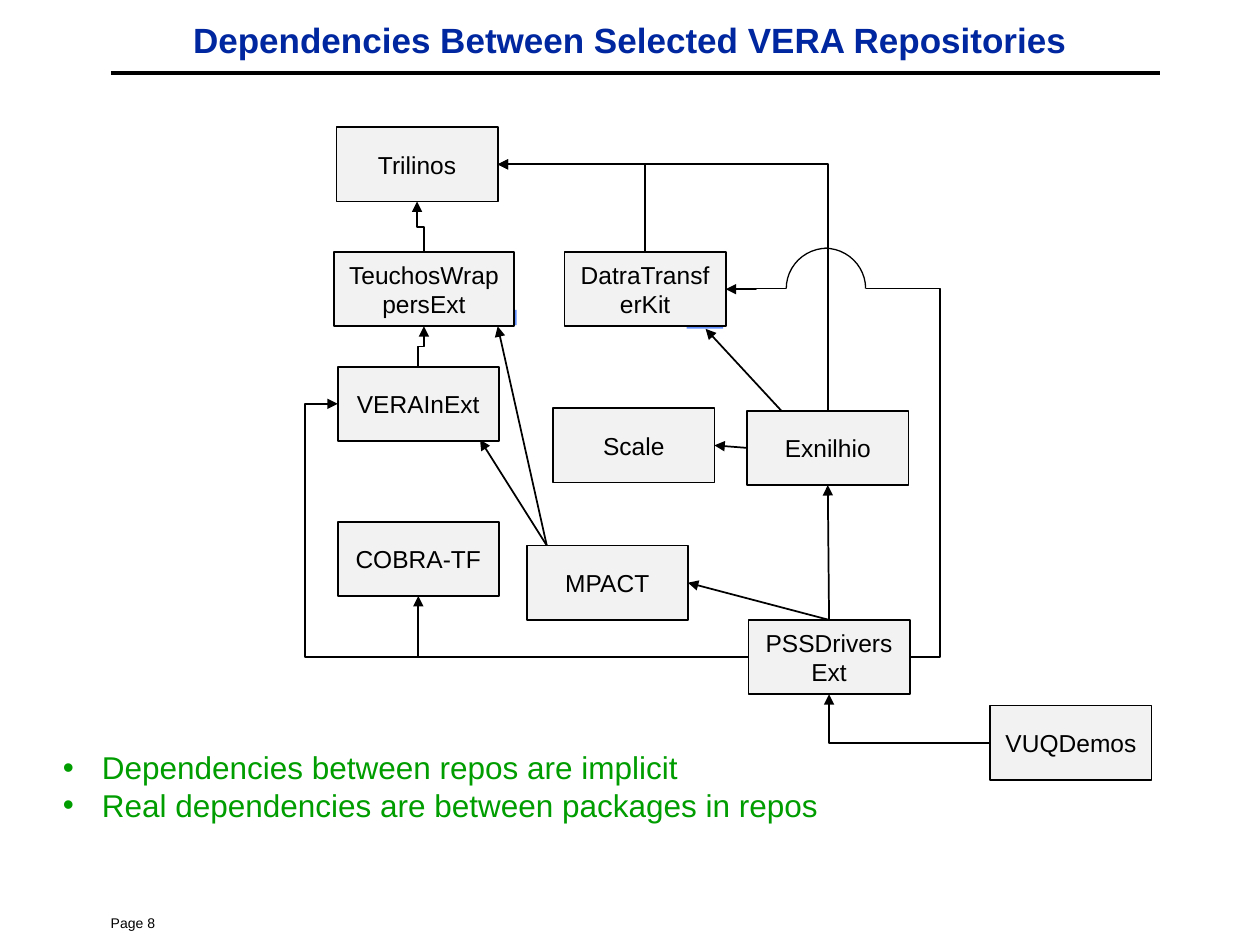
"""Build the slide on VERA repository dependencies, laid out on a grid of 100 columns by 75 rows."""
import pptx
import pptx.dml.color
import pptx.enum.shapes
import pptx.enum.text
import pptx.oxml.ns
import pptx.util
from lxml import etree

BLACK = pptx.dml.color.RGBColor(0x00, 0x00, 0x00)
NAVY = pptx.dml.color.RGBColor(0x00, 0x27, 0x9F)
GREEN = pptx.dml.color.RGBColor(0x00, 0x9D, 0x00)
PALE = pptx.dml.color.RGBColor(0xF2, 0xF2, 0xF2)
BLUE = pptx.dml.color.RGBColor(0x61, 0x8F, 0xFD)

COLUMNS, ROWS = 100, 75
FONT = "Arial"
SHAPE = pptx.enum.shapes.MSO_SHAPE
CONNECTOR = pptx.enum.shapes.MSO_CONNECTOR
ALIGN = pptx.enum.text.PP_ALIGN
ANCHOR = pptx.enum.text.MSO_ANCHOR
BOX_WIDTH, BOX_HEIGHT = 12.8, 5.9

REPOSITORIES = {
    "Scale": (43.9, 32.4, BOX_WIDTH),
    "Trilinos": (26.7, 10.1, BOX_WIDTH),
    "TeuchosWrappersExt": (26.5, 20, 14.3),
    "DatraTransferKit": (44.8, 20, BOX_WIDTH),
    "VERAInExt": (26.8, 29.1, BOX_WIDTH),
    "COBRA-TF": (26.8, 41.4, BOX_WIDTH),
    "MPACT": (41.8, 43.3, BOX_WIDTH),
    "Exnilhio": (59.3, 32.6, BOX_WIDTH),
    "PSSDriversExt": (59.4, 49.2, BOX_WIDTH),
    "VUQDemos": (78.6, 56, BOX_WIDTH),
}


def grid(*units):
    """Turn grid units, a tenth of an inch each, into lengths."""
    return [pptx.util.Inches(unit / 10) for unit in units]


def side(name, edge):
    """Return the middle of one edge of a repository box."""
    left, top, width = REPOSITORIES[name]
    across, down = {"top": (0.5, 0), "bottom": (0.5, 1), "left": (0, 0.5), "right": (1, 0.5)}[edge]
    return left + across * width, top + down * BOX_HEIGHT


def write(paragraph, text, size, color, align=ALIGN.LEFT, bold=False):
    """Add one formatted run to a paragraph."""
    paragraph.alignment = align
    run = paragraph.add_run()
    run.text = text
    run.font.name = FONT
    run.font.size = pptx.util.Pt(size)
    run.font.bold = bold
    run.font.color.rgb = color


def text_area(slide, place, anchor=ANCHOR.TOP):
    """Add a wrapping text box and return its text frame."""
    frame = slide.shapes.add_textbox(*grid(*place)).text_frame
    frame.word_wrap = True
    frame.vertical_anchor = anchor
    return frame


def bullets(slide, place, items):
    """Add a bulleted list."""
    frame = text_area(slide, place)
    for index, item in enumerate(items):
        paragraph = frame.add_paragraph() if index else frame.paragraphs[0]
        properties = paragraph._p.get_or_add_pPr()
        properties.set("marL", str(pptx.util.Inches(0.5)))
        properties.set("indent", str(pptx.util.Inches(-0.31)))
        color = etree.SubElement(properties, pptx.oxml.ns.qn("a:buClr"))
        etree.SubElement(color, pptx.oxml.ns.qn("a:srgbClr"), val=str(GREEN))
        etree.SubElement(properties, pptx.oxml.ns.qn("a:buFont"), typeface=FONT)
        etree.SubElement(properties, pptx.oxml.ns.qn("a:buChar"), char="•")
        write(paragraph, item, 18, GREEN)


def repository(slide, name):
    """Add the labelled box of one repository."""
    left, top, width = REPOSITORIES[name]
    box = slide.shapes.add_shape(SHAPE.RECTANGLE, *grid(left, top, width, BOX_HEIGHT))
    box.shadow.inherit = False
    box.fill.solid()
    box.fill.fore_color.rgb = PALE
    box.line.color.rgb = BLACK
    box.line.width = pptx.util.Pt(1)
    box.text_frame.word_wrap = True
    box.text_frame.vertical_anchor = ANCHOR.MIDDLE
    write(box.text_frame.paragraphs[0], name, 14, BLACK, ALIGN.CENTER)


def package(slide, place):
    """Add a small blue package marker."""
    marker = slide.shapes.add_shape(SHAPE.RECTANGLE, *grid(*place))
    marker.shadow.inherit = False
    marker.fill.solid()
    marker.fill.fore_color.rgb = BLUE
    marker.line.fill.background()


def bridge_arc(slide, place, start, end):
    """Add an arc running clockwise between two angles in degrees."""
    arc = slide.shapes.add_shape(SHAPE.ARC, *grid(*place))
    arc.shadow.inherit = False
    arc.fill.background()
    arc.line.color.rgb = BLACK
    arc.line.width = pptx.util.Pt(0.75)
    arc.adjustments[0] = start * 0.6
    arc.adjustments[1] = end * 0.6


def connect(slide, kind, start, end, arrow=True, weight=1):
    """Add a black connector, with an arrowhead at its end if wanted."""
    connector = slide.shapes.add_connector(kind, *grid(*start, *end))
    connector.line.color.rgb = BLACK
    connector.line.width = pptx.util.Pt(weight)
    if arrow:
        line = connector.line._get_or_add_ln()
        etree.SubElement(line, pptx.oxml.ns.qn("a:tailEnd"), type="triangle")
    etree.SubElement(connector._element.spPr, pptx.oxml.ns.qn("a:effectLst"))
    return connector


def elbow(slide, start, end, upward=False, bend=None, arrow=True):
    """Add a right-angled connector that leaves leftward or upward; bend is the share where it turns."""
    across, down = end[0] - start[0], end[1] - start[1]
    width, height = (abs(down), abs(across)) if upward else (abs(across), abs(down))
    left = (start[0] + end[0] - width) / 2
    top = (start[1] + end[1] - height) / 2
    connector = connect(slide, CONNECTOR.ELBOW, (left, top), (left + width, top + height), arrow)
    properties = connector._element.spPr
    frame = properties.find(pptx.oxml.ns.qn("a:xfrm"))
    frame.set("rot", str((270 if upward else 180) * 60000))
    if (across < 0) if upward else (down > 0):
        frame.set("flipV", "1")
    geometry = properties.find(pptx.oxml.ns.qn("a:prstGeom"))
    geometry.set("prst", "bentConnector2" if bend is None else "bentConnector3")
    if bend is not None:
        guides = geometry.get_or_add_avLst()
        etree.SubElement(guides, pptx.oxml.ns.qn("a:gd"), name="adj1", fmla=f"val {round(bend * 100000)}")


def dependencies(slide):
    """Draw every dependency between the repositories."""
    trilinos = side("Trilinos", "right")
    drivers_left, drivers_top = side("PSSDriversExt", "left"), side("PSSDriversExt", "top")
    mpact_corner = (43.4, 43.3)
    bridge_left, bridge_right = (62.4, 22.9), (68.7, 22.9)

    elbow(slide, side("TeuchosWrappersExt", "top"), side("Trilinos", "bottom"), True, 0.5)
    elbow(slide, side("VERAInExt", "top"), side("TeuchosWrappersExt", "bottom"), True, 0.5)
    for name in ("DatraTransferKit", "Exnilhio"):
        elbow(slide, side(name, "top"), trilinos, True)
    elbow(slide, bridge_left, side("DatraTransferKit", "right"), bend=0.5)
    elbow(slide, side("PSSDriversExt", "right"), bridge_right, bend=-0.69, arrow=False)
    elbow(slide, drivers_left, side("COBRA-TF", "bottom"))
    elbow(slide, drivers_left, side("VERAInExt", "left"), bend=1.08)
    elbow(slide, side("VUQDemos", "left"), side("PSSDriversExt", "bottom"))

    for start, end in (
        (mpact_corner, (39.5, 25.9)),
        (mpact_corner, (38.1, 34.9)),
        ((62.2, 32.8), (56, 26.1)),
        (side("Exnilhio", "left"), side("Scale", "right")),
        (drivers_top, side("Exnilhio", "bottom")),
        (drivers_top, side("MPACT", "right")),
    ):
        connect(slide, CONNECTOR.STRAIGHT, start, end)
    bridge_arc(slide, (62.4, 19.7, 6.5, 6.4), 180, 270)
    bridge_arc(slide, (62.2, 19.7, 6.5, 6.4), 270, 0)


def main():
    """Build and save the slide."""
    deck = pptx.Presentation()
    deck.slide_width, deck.slide_height = grid(COLUMNS, ROWS)
    slide = deck.slides.add_slide(deck.slide_layouts[6])

    connect(slide, CONNECTOR.STRAIGHT, (8.8, 5.8), (92.1, 5.8), arrow=False, weight=2)
    page = text_area(slide, (7.8, 72.1, 20.8, 2.2))
    write(page.paragraphs[0], "Page 8", 8, BLACK)
    title = text_area(slide, (7.5, 1, 85, 4.2), ANCHOR.MIDDLE)
    write(title.paragraphs[0], "Dependencies Between Selected VERA Repositories", 20, NAVY, ALIGN.CENTER, True)

    for place in ((38.1, 24.6, 2.9, 1.2), (54.5, 24.8, 2.9, 1.3)):
        package(slide, place)
    dependencies(slide)
    for name in REPOSITORIES:
        repository(slide, name)
    bullets(slide, (2.1, 58.9, 95.8, 7), (
        "Dependencies between repos are implicit",
        "Real dependencies are between packages in repos",
    ))
    deck.save("out.pptx")


if __name__ == "__main__":
    main()
